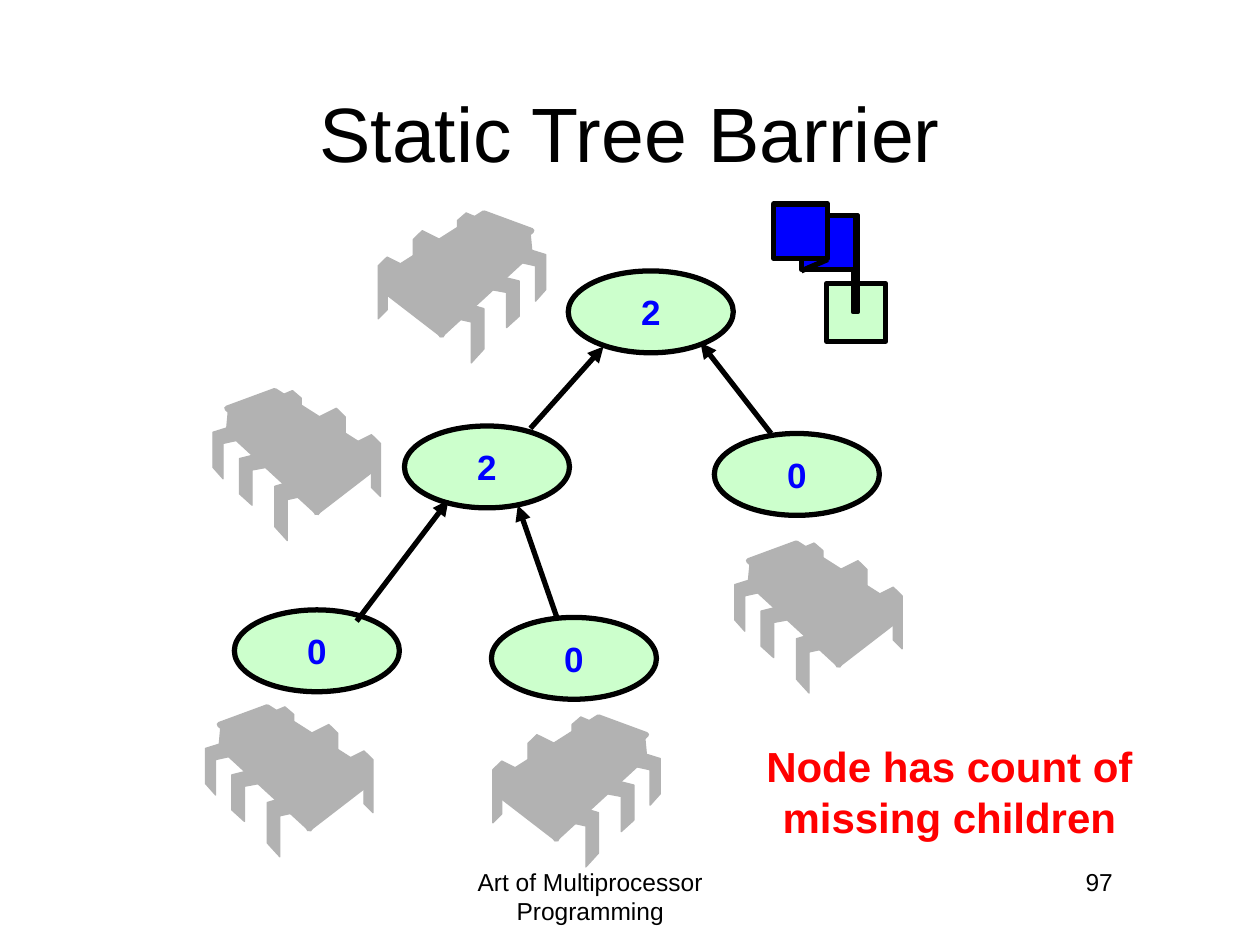
from lxml import etree
from pptx import Presentation
from pptx.dml.color import RGBColor
from pptx.enum.shapes import MSO_CONNECTOR as Connector, MSO_SHAPE as Shape
from pptx.enum.text import MSO_ANCHOR as Anchor, PP_ALIGN as Align
from pptx.oxml.ns import qn
from pptx.util import Pt

BLACK = RGBColor(0x00, 0x00, 0x00)
BLUE = RGBColor(0x00, 0x00, 0xFF)
GREEN = RGBColor(0xCC, 0xFF, 0xCC)
GRAY = RGBColor(0xB2, 0xB2, 0xB2)
RED = RGBColor(0xFF, 0x00, 0x00)

NODE_WIDTH, NODE_HEIGHT = 94.3, 46.8
NODES = [
    ("2", 324.7, 154.8),
    ("2", 231.1, 243.4),
    ("0", 408.2, 247.7),
    ("0", 133.9, 348.5),
    ("0", 280.8, 352.8),
]
ARROWS = [
    (303.1, 244.8, 344.9, 198),
    (440.6, 247.7, 400.3, 195.8),
    (203.8, 355, 256.3, 285.8),
    (318.2, 352.8, 295.9, 288.7),
]

CHIP_WIDTH = 95.8
BACK_PIN = [(0, 5), (10, 0), (15.1, 5), (15.1, 35.3), (10, 30.2), (10, 10), (0, 15.1)]
CHIP_PARTS = [
    (0.75, [(x + 80.6, y + 25.2) for x, y in BACK_PIN]),
    (0.75, [(x + 60.5, y + 10.1) for x, y in BACK_PIN]),
    (0.75, [(35.3, 4.3), (45.4, 0), (50.4, 4.3), (50.4, 30.2), (45.4, 25.9), (45.4, 8.6), (35.3, 13)]),
    (3, [(35.3, 0), (90.7, 35.3), (59.8, 56.2), (7.9, 10.1)]),
    (3, [(10.1, 10.1), (60.5, 55.4), (59.8, 69.8), (8.9, 23)]),
    (3, [(90.7, 35.3), (90.7, 45.4), (59, 69.8), (61.2, 54.7)]),
    (0.75, [(49.7, 50.4), (60.5, 58.3), (42.5, 62.3), (42.5, 85.7), (35.3, 77.8), (35.3, 54.7)]),
    (0.75, [(29.5, 35.3), (40.3, 42.1), (22.3, 45.4), (22.3, 65.5), (15.1, 59), (15.1, 38.9)]),
    (0.75, [(11.5, 20.2), (20.2, 27), (5.8, 30.2), (5.8, 50.4), (0, 43.9), (0, 23.8)]),
]
CHIPS = [
    (117.4, 403.9, False),
    (281.5, 409.7, True),
    (216, 121.7, True),
    (419.8, 310.3, False),
    (121.7, 223.2, False),
]


def paint(shape, fill, line, weight):
    shape.shadow.inherit = False
    shape.fill.solid()
    shape.fill.fore_color.rgb = fill
    shape.line.color.rgb = line
    shape.line.width = Pt(weight)


def write(frame, text, size, color, bold=False, align=Align.CENTER, anchor=Anchor.TOP, wrap=True):
    frame.word_wrap = wrap
    frame.vertical_anchor = anchor
    paragraph = frame.paragraphs[0]
    paragraph.text = text
    paragraph.alignment = align
    font = paragraph.font
    font.name = "Arial"
    font.size = Pt(size)
    font.bold = bold
    font.color.rgb = color


def add_text(slide, box, text, size, color, **style):
    shape = slide.shapes.add_textbox(*map(Pt, box))
    write(shape.text_frame, text, size, color, **style)


def add_box(shapes, box, fill, weight=3):
    shape = shapes.add_shape(Shape.RECTANGLE, *map(Pt, box))
    paint(shape, fill, BLACK, weight)


def add_node(slide, count, left, top):
    node = slide.shapes.add_shape(Shape.OVAL, Pt(left), Pt(top), Pt(NODE_WIDTH), Pt(NODE_HEIGHT))
    paint(node, GREEN, BLACK, 3)
    write(node.text_frame, count, 20, BLUE, bold=True, anchor=Anchor.MIDDLE, wrap=False)


def add_line(shapes, ends, arrow=False):
    connector = shapes.add_connector(Connector.STRAIGHT, *map(Pt, ends))
    connector.line.color.rgb = BLACK
    connector.line.width = Pt(3)
    if arrow:
        line = connector.line._get_or_add_ln()
        etree.SubElement(line, qn("a:tailEnd"), type="triangle")
    etree.SubElement(connector._element.spPr, qn("a:effectLst"))


def add_chip(slide, left, top, mirrored):
    group = slide.shapes.add_group_shape()
    for weight, outline in CHIP_PARTS:
        points = [
            (Pt(left + (CHIP_WIDTH - x if mirrored else x)), Pt(top + y))
            for x, y in outline
        ]
        builder = group.shapes.build_freeform(*points[0])
        builder.add_line_segments(points[1:], close=True)
        paint(builder.convert_to_shape(), GRAY, GRAY, weight)


def add_flag(slide):
    add_box(slide.shapes, (472.3, 162, 33.8, 33.1), GREEN)
    flag = slide.shapes.add_group_shape().shapes
    add_box(flag, (487.4, 123.1, 2.9, 55.4), BLACK, 2.25)
    add_box(flag, (457.9, 123.1, 31, 31), BLUE)
    add_line(flag, (457.9, 154.8, 473, 148.3))
    add_box(flag, (442.1, 116.6, 31, 31), BLUE)


def main():
    presentation = Presentation()
    presentation.slide_width = Pt(720)
    presentation.slide_height = Pt(540)
    slide = presentation.slides.add_slide(presentation.slide_layouts[6])

    add_text(slide, (54, 30, 612, 90), "Static Tree Barrier", 44, BLACK, anchor=Anchor.MIDDLE)
    add_text(slide, (223.2, 491.8, 228.2, 36), "Art of Multiprocessor Programming", 14, BLACK)
    add_text(slide, (493.2, 491.8, 149.8, 36), "97", 14, BLACK, align=Align.RIGHT)
    for node in NODES:
        add_node(slide, *node)
    for ends in ARROWS:
        add_line(slide.shapes, ends, arrow=True)
    add_flag(slide)
    for chip in CHIPS:
        add_chip(slide, *chip)
    add_text(slide, (418.3, 419.8, 248.4, 65.5), "Node has count of missing children", 24, RED, bold=True)

    presentation.save("out.pptx")


if __name__ == "__main__":
    main()
